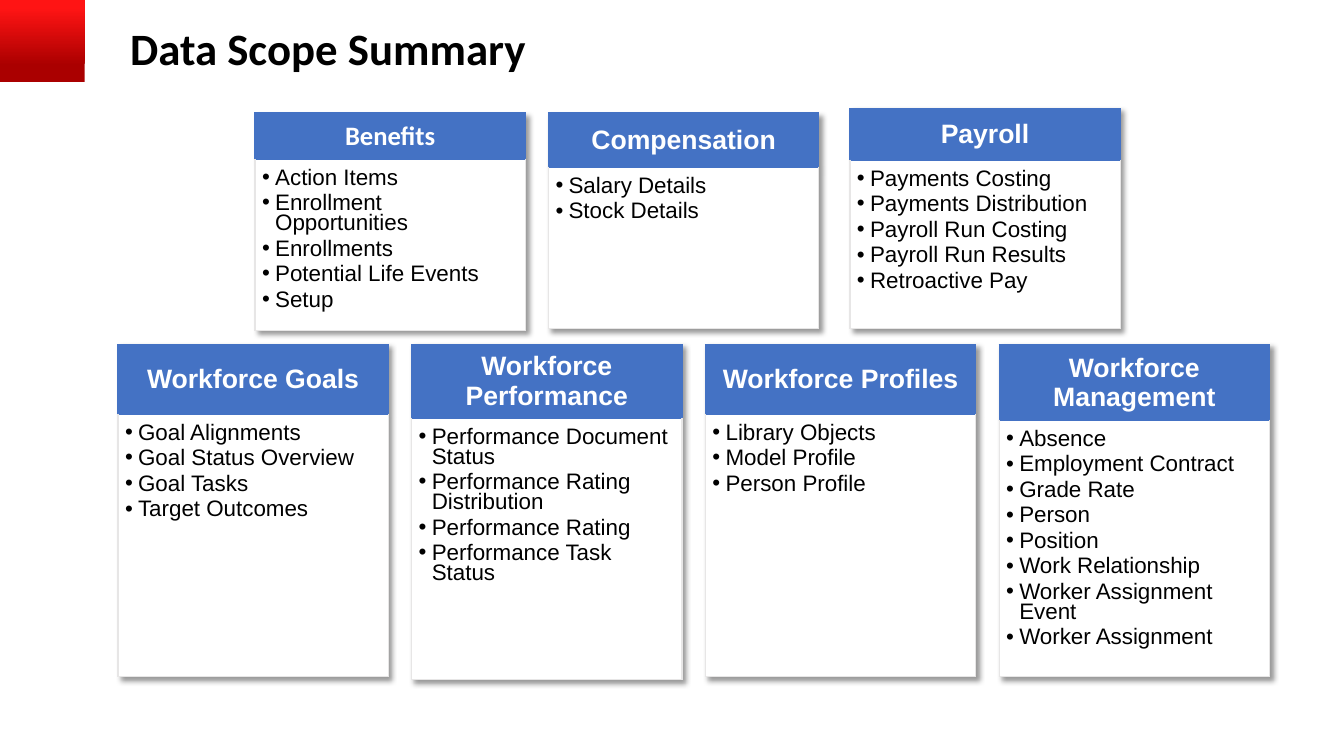
from lxml.etree import SubElement
from pptx import Presentation
from pptx.dml.color import RGBColor
from pptx.enum.shapes import MSO_SHAPE
from pptx.enum.text import MSO_ANCHOR, MSO_AUTO_SIZE, PP_ALIGN
from pptx.oxml import parse_xml
from pptx.oxml.ns import nsdecls, qn
from pptx.util import Inches, Pt

# Content
TITLE = "Data Scope Summary"
# (heading, heading font, left, top, heading height, list height, items)
TOP_CARDS = [
    ("Benefits", "Calibri", 2.53, 1.12, 0.46, 1.7,
     ["Action Items", "Enrollment Opportunities", "Enrollments",
      "Potential Life Events", "Setup"]),
    ("Compensation", "Arial", 5.44, 1.12, 0.54, 1.6,
     ["Salary Details", "Stock Details"]),
    ("Payroll", "Arial", 8.43, 1.08, 0.51, 1.67,
     ["Payments Costing", "Payments Distribution", "Payroll Run Costing",
      "Payroll Run Results", "Retroactive Pay"]),
]
# (heading, heading height, list height, items)
WORKFORCE_CARDS = [
    ("Workforce Goals", 0.69, 2.6,
     ["Goal Alignments", "Goal Status Overview", "Goal Tasks", "Target Outcomes"]),
    ("Workforce Performance", 0.73, 2.59,
     ["Performance Document Status", "Performance Rating Distribution",
      "Performance Rating", "Performance Task Status"]),
    ("Workforce Profiles", 0.69, 2.6,
     ["Library Objects", "Model Profile", "Person Profile"]),
    ("Workforce Management", 0.75, 2.54,
     ["Absence", "Employment Contract", "Grade Rate", "Person", "Position",
      "Work Relationship", "Worker Assignment Event", "Worker Assignment"]),
]

# Layout and colours
CARD_WIDTH = 2.68
WORKFORCE_LEFT, WORKFORCE_RIGHT, WORKFORCE_TOP = 1.17, 12.59, 3.42
WORKFORCE_STEP = (WORKFORCE_RIGHT - CARD_WIDTH - WORKFORCE_LEFT) / (len(WORKFORCE_CARDS) - 1)
BLUE, GREY, WHITE, BLACK = "4472C4", "E7E6E6", "FFFFFF", "000000"
DARK_RED, RED = "AA0000", "FF1414"


def rgb(value):
    return RGBColor.from_string(value)


def add_run(paragraph, text, font, size, color, bold):
    run = paragraph.add_run()
    run.text = text
    run.font.name, run.font.size, run.font.bold = font, Pt(size), bold
    run.font.color.rgb = rgb(color)


def style_cell(cell, fill, borders, top_margin):
    cell.fill.solid()
    cell.fill.fore_color.rgb = rgb(fill)
    cell.margin_left = cell.margin_right = Inches(0.07)
    cell.margin_top, cell.margin_bottom = Inches(top_margin), Inches(0.05)
    properties = cell._tc.get_or_add_tcPr()
    for index, (side, color) in enumerate(zip("LRTB", borders)):
        properties.insert(index, parse_xml(
            f'<a:ln{side} {nsdecls("a")} w="12700"><a:solidFill>'
            f'<a:srgbClr val="{color}"/></a:solidFill></a:ln{side}>'))


def add_bullet(paragraph):
    paragraph.line_spacing, paragraph.space_before = 0.8, Pt(4)
    properties = paragraph._p.get_or_add_pPr()
    properties.set("marL", str(Inches(0.13)))
    properties.set("indent", str(-Inches(0.13)))
    color = SubElement(properties, qn("a:buClr"))
    SubElement(color, qn("a:srgbClr"), val=BLACK)
    SubElement(properties, qn("a:buFont"), typeface="Arial")
    SubElement(properties, qn("a:buChar"), char="•")


def add_card(slide, heading, font, left, top, heading_height, list_height, items):
    card = slide.shapes.add_table(
        2, 1, Inches(left), Inches(top), Inches(CARD_WIDTH),
        Inches(heading_height + list_height)).table
    card.first_row = card.horz_banding = False
    card.rows[0].height, card.rows[1].height = Inches(heading_height), Inches(list_height)
    card._tbl.tblPr.insert(0, parse_xml(
        f'<a:effectLst {nsdecls("a")}><a:outerShdw blurRad="50800" dist="38100" '
        'dir="2700000" algn="tl" rotWithShape="0"><a:srgbClr val="000000">'
        '<a:alpha val="40000"/></a:srgbClr></a:outerShdw></a:effectLst>'))

    # Heading
    heading_cell, list_cell = card.cell(0, 0), card.cell(1, 0)
    style_cell(heading_cell, BLUE, [BLUE] * 4, 0.05)
    heading_cell.vertical_anchor = MSO_ANCHOR.MIDDLE
    heading_line = heading_cell.text_frame.paragraphs[0]
    heading_line.alignment = PP_ALIGN.CENTER
    add_run(heading_line, heading, font, 19, WHITE, True)

    # Bulleted list
    style_cell(list_cell, WHITE, [GREY, GREY, BLUE, GREY], 0.1)
    lines = list_cell.text_frame
    for index, item in enumerate(items):
        line = lines.add_paragraph() if index else lines.paragraphs[0]
        add_bullet(line)
        add_run(line, item, "Arial", 16, BLACK, False)


def main():
    deck = Presentation()
    deck.slide_width, deck.slide_height = Inches(13.33), Inches(7.5)
    slide = deck.slides.add_slide(deck.slide_layouts[5])

    # Red corner block
    corner = slide.shapes.add_shape(MSO_SHAPE.RECTANGLE, 0, 0, Inches(0.84), Inches(0.81))
    corner.shadow.inherit = False
    corner.line.fill.background()
    corner.fill.gradient()
    corner.fill.gradient_angle = 90
    for stop, position, color in zip(corner.fill.gradient_stops, (0.2, 0.9), (DARK_RED, RED)):
        stop.position, stop.color.rgb = position, rgb(color)

    # Title
    title = slide.shapes.title
    title.left, title.top = Inches(1.16), Inches(0.15)
    title.width, title.height = Inches(10.05), Inches(0.64)
    frame = title.text_frame
    frame.auto_size, frame.word_wrap = MSO_AUTO_SIZE.NONE, True
    frame.vertical_anchor = MSO_ANCHOR.MIDDLE
    frame.margin_left = frame.margin_right = Inches(0.13)
    frame.margin_top = frame.margin_bottom = 0
    frame.paragraphs[0].alignment = PP_ALIGN.LEFT
    add_run(frame.paragraphs[0], TITLE, "Calibri", 32, BLACK, True)

    # Cards
    for card in TOP_CARDS:
        add_card(slide, *card)
    for index, (heading, *sizes_and_items) in enumerate(WORKFORCE_CARDS):
        left = WORKFORCE_LEFT + index * WORKFORCE_STEP
        add_card(slide, heading, "Arial", left, WORKFORCE_TOP, *sizes_and_items)

    deck.save("out.pptx")


if __name__ == "__main__":
    main()
